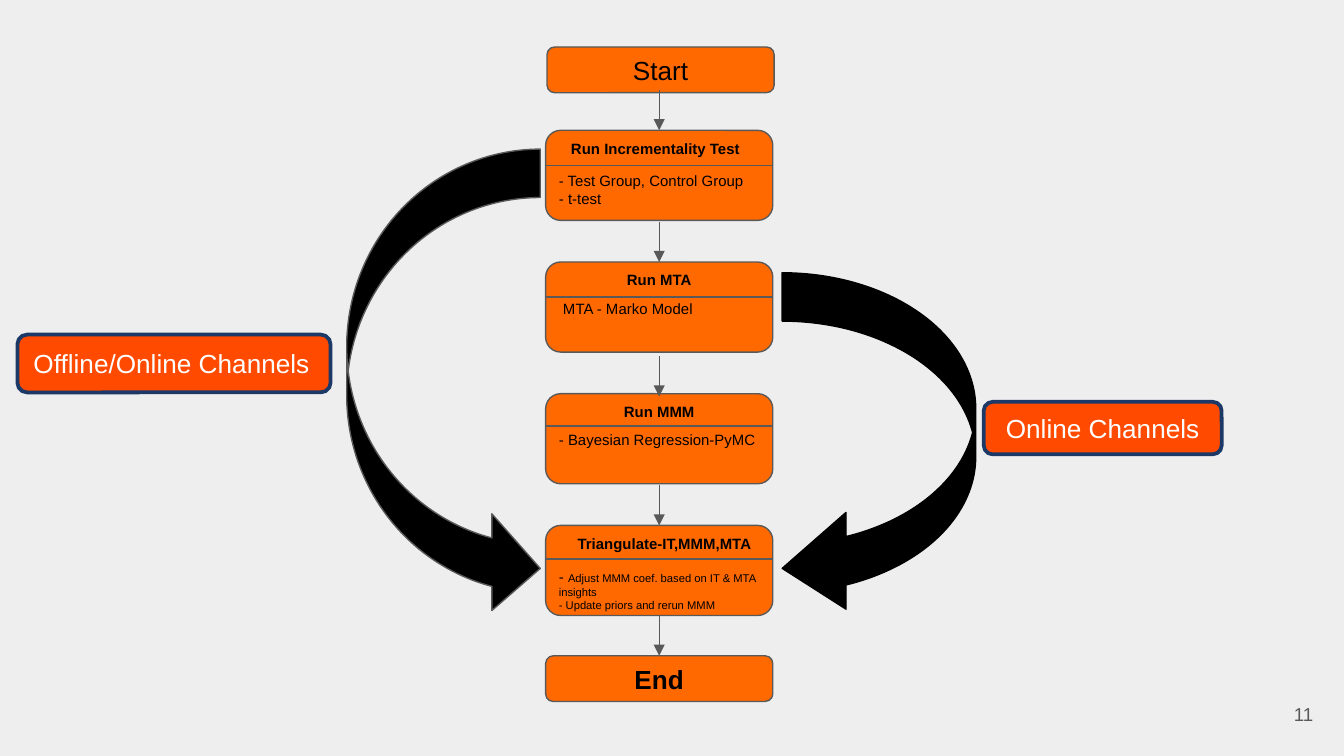
from lxml.etree import SubElement
from pptx import Presentation
from pptx.dml.color import RGBColor
from pptx.enum.shapes import MSO_CONNECTOR, MSO_SHAPE
from pptx.enum.text import MSO_ANCHOR, MSO_AUTO_SIZE, PP_ALIGN
from pptx.oxml.ns import qn
from pptx.util import Inches, Pt

BACKGROUND = RGBColor(0xEE, 0xEE, 0xEE)
ORANGE = RGBColor(0xFF, 0x69, 0x00)
RED_ORANGE = RGBColor(0xFF, 0x4A, 0x00)
NAVY = RGBColor(0x1B, 0x38, 0x67)
GRAY = RGBColor(0x59, 0x59, 0x59)
BLACK = RGBColor(0, 0, 0)
WHITE = RGBColor(0xFF, 0xFF, 0xFF)

FLOW_LEFT, FLOW_WIDTH = 4.06, 1.69
STEP_HEIGHT, CAP_HEIGHT, ARROW_LENGTH = 0.67, 0.34, 0.3
TITLE_HEIGHT, BODY_OFFSET = 0.24, 0.21

# top, divider offset, title (text, left offset, width, alignment), body paragraphs of (text, size) runs
STEPS = [
    (0.97, 0.26, ("Run Incrementality Test", 0.09, 1.52, PP_ALIGN.LEFT),
     [[("- Test Group, Control Group", 8)], [("- t-test", 8)]]),
    (1.95, 0.26, ("Run MTA", 0.15, 1.39, PP_ALIGN.CENTER),
     [[(" MTA - Marko Model", 8)]]),
    (2.93, 0.24, ("Run MMM", 0.15, 1.39, PP_ALIGN.CENTER),
     [[("- Bayesian Regression-PyMC", 8)]]),
    (3.91, 0.25, ("Triangulate-IT,MMM,MTA", 0.07, 1.63, PP_ALIGN.CENTER),
     [[("- ", 8), ("Adjust MMM coef. based on IT & MTA insights", 6)],
      [("- Update priors and rerun MMM", 6)]]),
]
ARROW_TOPS = [0.67, 1.65, 2.65, 3.61, 4.58]


def write(shape, paragraphs, color=BLACK, bold=False, align=PP_ALIGN.LEFT,
          anchor=MSO_ANCHOR.TOP, inset=0.1):
    """Fill a shape with paragraphs, each a list of (text, size) runs."""
    frame = shape.text_frame
    frame.word_wrap = True
    frame.vertical_anchor = anchor
    frame.margin_left = frame.margin_right = Inches(0.1)
    frame.margin_top = frame.margin_bottom = Inches(inset)
    for index, runs in enumerate(paragraphs):
        paragraph = frame.add_paragraph() if index else frame.paragraphs[0]
        paragraph.alignment = align
        for text, size in runs:
            run = paragraph.add_run()
            run.text = text
            run.font.name = "Arial"
            run.font.size = Pt(size)
            run.font.bold = bold
            run.font.color.rgb = color


def add_label(slide, box, paragraphs, auto_size=MSO_AUTO_SIZE.SHAPE_TO_FIT_TEXT, **style):
    label = slide.shapes.add_textbox(*map(Inches, box))
    label.text_frame.auto_size = auto_size
    write(label, paragraphs, **style)


def add_block(slide, kind, box, fill, line, line_width=0.75):
    block = slide.shapes.add_shape(kind, *map(Inches, box))
    block.shadow.inherit = False
    block.fill.solid()
    block.fill.fore_color.rgb = fill
    block.line.color.rgb = line
    block.line.width = Pt(line_width)
    return block


def add_line(slide, x1, y1, x2, y2, arrow=False):
    line = slide.shapes.add_connector(
        MSO_CONNECTOR.STRAIGHT, *map(Inches, (x1, y1, x2, y2)))
    line.line.color.rgb = GRAY
    line.line.width = Pt(0.75)
    properties = line._element.spPr
    if arrow:
        SubElement(properties.find(qn("a:ln")), qn("a:tailEnd"), type="triangle")
    SubElement(properties, qn("a:effectLst"))


def add_cap(slide, box, text, bold=False):
    """Start or end of the flow."""
    cap = add_block(slide, MSO_SHAPE.ROUNDED_RECTANGLE, box, ORANGE, GRAY)
    write(cap, [[(text, 14)]], bold=bold, align=PP_ALIGN.CENTER,
          anchor=MSO_ANCHOR.MIDDLE)


def add_step(slide, box, divider, title, body):
    """Rounded card with a title, a divider and body text."""
    left, top, width, _ = box
    add_block(slide, MSO_SHAPE.ROUNDED_RECTANGLE, box, ORANGE, GRAY)
    text, offset, title_width, align = title
    add_label(slide, (left + offset, top, title_width, TITLE_HEIGHT),
              [[(text, 8)]], bold=True, align=align)
    add_label(slide, (left, top + BODY_OFFSET, width, TITLE_HEIGHT), body)
    add_line(slide, left, top + divider, left + width, top + divider)


def add_bypass(slide, kind, box, line, head):
    """Thick curved arrow that skips steps of the flow."""
    bypass = add_block(slide, kind, box, BLACK, line)
    for index, value in enumerate((0.25, 0.5, head)):
        bypass.adjustments[index] = value


def add_channel(slide, box, text, align):
    channel = add_block(slide, MSO_SHAPE.ROUNDED_RECTANGLE, box, RED_ORANGE, NAVY, 2)
    write(channel, [[(text, 14)]], color=WHITE, align=align,
          anchor=MSO_ANCHOR.MIDDLE, inset=0.05)


def add_flow(slide, left, width):
    """Central column from start to end."""
    add_cap(slide, (left + 0.01, 0.35, width, CAP_HEIGHT), "Start")
    for top, divider, title, body in STEPS:
        add_step(slide, (left, top, width, STEP_HEIGHT), divider, title, body)
    add_cap(slide, (left, 4.88, width, CAP_HEIGHT), "End", bold=True)
    center = left + width / 2
    for top in ARROW_TOPS:
        add_line(slide, center, top, center, top + ARROW_LENGTH, arrow=True)


def main():
    deck = Presentation()
    # Widescreen, 16:9
    deck.slide_width = Inches(10)
    deck.slide_height = deck.slide_width * 9 // 16
    slide = deck.slides.add_slide(deck.slide_layouts[6])
    slide.background.fill.solid()
    slide.background.fill.fore_color.rgb = BACKGROUND

    # Central flow
    add_flow(slide, FLOW_LEFT, FLOW_WIDTH)

    # Bypass arrows with their channels
    add_bypass(slide, MSO_SHAPE.CURVED_RIGHT_ARROW, (2.58, 1.11, 1.44, 3.48), GRAY, 0.25)
    add_bypass(slide, MSO_SHAPE.CURVED_LEFT_ARROW, (5.82, 2.03, 1.44, 2.56), BLACK, 0.33)
    add_channel(slide, (0.13, 2.49, 2.33, 0.43), "Offline/Online Channels", PP_ALIGN.LEFT)
    add_channel(slide, (7.32, 2.99, 1.77, 0.39), "Online Channels", PP_ALIGN.CENTER)

    # Page number
    add_label(slide, (9.27, 5.1, 0.6, 0.43), [[("11", 10)]], MSO_AUTO_SIZE.NONE,
              color=GRAY, align=PP_ALIGN.RIGHT, anchor=MSO_ANCHOR.MIDDLE)
    deck.save("out.pptx")


if __name__ == "__main__":
    main()
